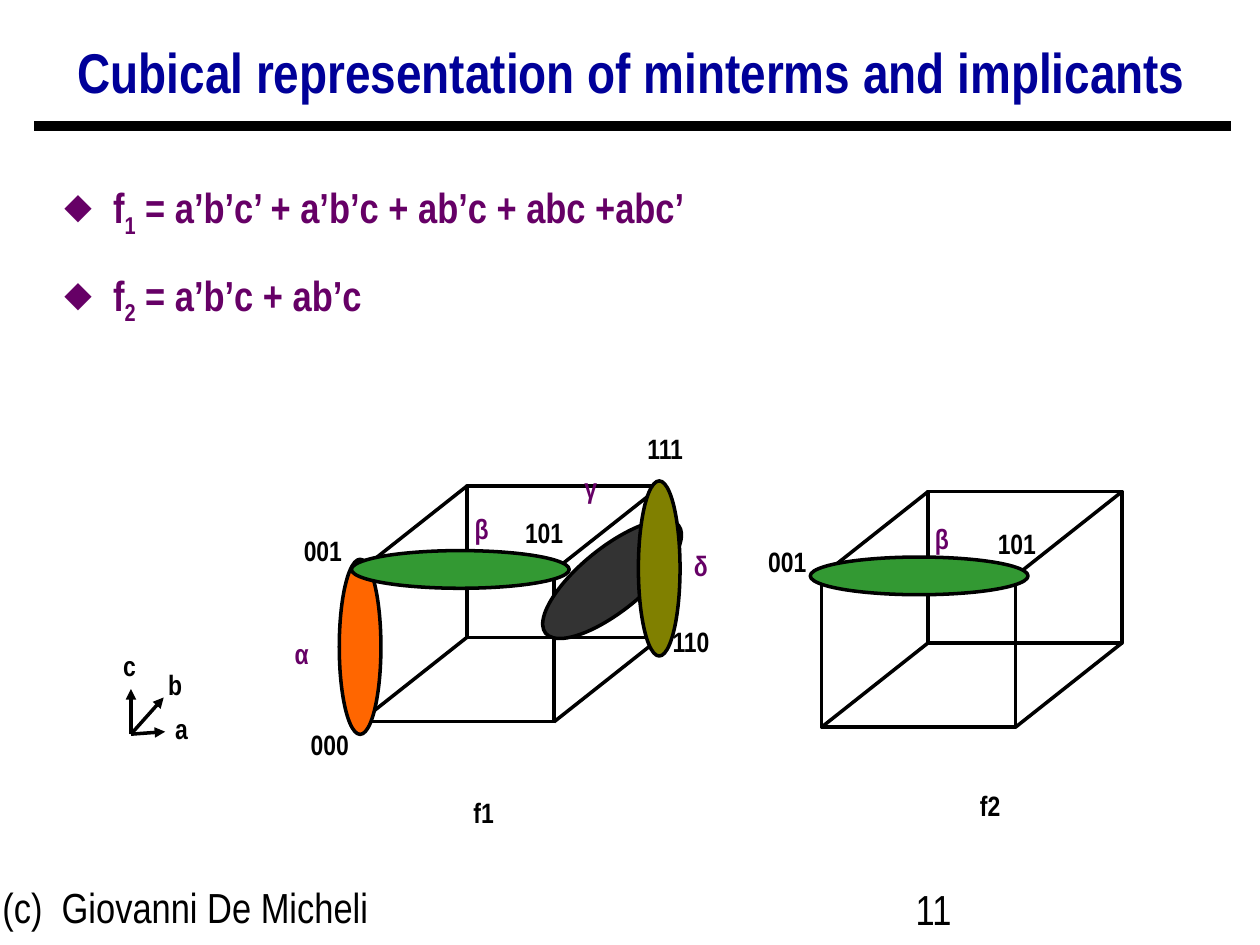
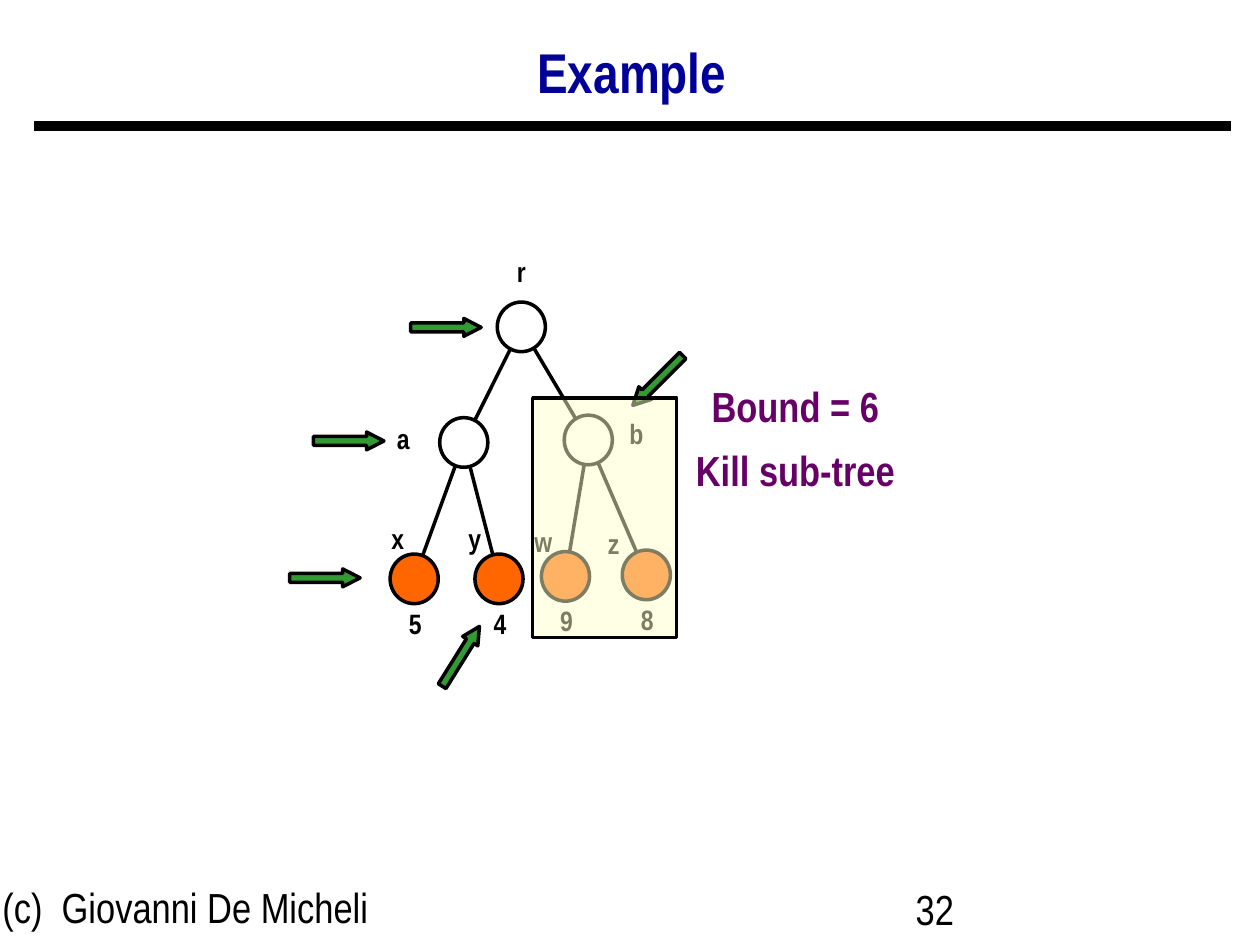
from dataclasses import dataclass
from itertools import product
from math import hypot

from lxml import etree
from pptx import Presentation
from pptx.dml.color import RGBColor
from pptx.enum.shapes import MSO_CONNECTOR, MSO_SHAPE
from pptx.enum.text import MSO_ANCHOR, MSO_AUTO_SIZE, PP_ALIGN
from pptx.oxml.ns import qn
from pptx.util import Cm, Pt


@dataclass(frozen=True)
class Theme:
    face: str = "Arial Narrow"
    ink: str = "000000"
    title: str = "000099"
    accent: str = "660066"
    orange: str = "FF6600"
    green: str = "339933"
    charcoal: str = "333333"
    olive: str = "808000"
    veil: str = "FFFFCC"
    title_size: int = 32
    body_size: int = 24
    label_size: int = 16
    thin: int = 2
    thick: int = 6


@dataclass(frozen=True)
class Box:
    left: float
    top: float
    width: float
    height: float

    def at(self, x, y):
        return self.left + x, self.top + y

    def emu(self):
        return [Cm(v) for v in (self.left, self.top, self.width, self.height)]


def centred(x, y, width, height):
    return Box(x - width / 2, y - height / 2, width, height)


THEME = Theme()
SLIDE = Box(0, 0, 25.4, 19.05)
TITLE = Box(0.66, 0.56, 24.16, 1.9)
CUBE_DEPTH = (2.15, 1.7)
CUBE_FACE = (3.91, 3.05)
UPRIGHT = (0.84, 3.53)
FLAT = (4.39, 0.76)
TILTED = (3.45, 1.27)
NODE = (0.97, 1)


def style(paragraph, size, color, bold=True, align=PP_ALIGN.CENTER):
    paragraph.alignment = align
    font = paragraph.font
    font.name, font.size, font.bold = THEME.face, Pt(size), bold
    font.color.rgb = RGBColor.from_string(color)


def text_box(slide, box, wrap=True):
    frame = slide.shapes.add_textbox(*box.emu()).text_frame
    frame.word_wrap = wrap
    return frame


def label(slide, text, centre, width=1.98, color=THEME.ink):
    frame = text_box(slide, centred(*centre, width, 0.94), wrap=width > 1)
    frame.text = text
    style(frame.paragraphs[0], THEME.label_size, color)


def line(slide, start, end, width=THEME.thin, arrow=False):
    points = [Cm(v) for v in (*start, *end)]
    connector = slide.shapes.add_connector(MSO_CONNECTOR.STRAIGHT, *points)
    connector.line.color.rgb = RGBColor.from_string(THEME.ink)
    connector.line.width = Pt(width)
    if arrow:
        outline = connector.line._get_or_add_ln()
        etree.SubElement(outline, qn("a:tailEnd"), type="triangle")
    etree.SubElement(connector._element.spPr, qn("a:effectLst"))


def shape(slide, kind, box, fill=None, rotation=0):
    form = slide.shapes.add_shape(kind, *box.emu())
    form.shadow.inherit = False
    form.rotation = rotation
    form.line.color.rgb = RGBColor.from_string(THEME.ink)
    form.line.width = Pt(THEME.thin)
    if fill:
        form.fill.solid()
        form.fill.fore_color.rgb = RGBColor.from_string(fill)
    else:
        form.fill.background()
    return form


def footer(slide, text, box):
    frame = text_box(slide, box)
    frame.text = text
    style(frame.paragraphs[0], THEME.body_size, THEME.ink, False, PP_ALIGN.LEFT)


def titled_slide(prs, heading, number):
    slide = prs.slides.add_slide(prs.slide_layouts[5])
    line(slide, (0.69, 2.54), (24.82, 2.54), THEME.thick)
    footer(slide, "(c)  Giovanni De Micheli", Box(-0.2, 17.65, 8.03, 1.32))
    footer(slide, str(number), Box(18.21, 17.68, 5.92, 1.32))
    title = slide.shapes.title
    title.left, title.top, title.width, title.height = TITLE.emu()
    frame = title.text_frame
    frame.text = heading
    frame.auto_size = MSO_AUTO_SIZE.NONE
    frame.vertical_anchor = MSO_ANCHOR.MIDDLE
    frame.paragraphs[0].line_spacing = 0.9
    style(frame.paragraphs[0], THEME.title_size, THEME.title)
    return slide


def bullet(paragraph):
    props = paragraph._p.get_or_add_pPr()
    props.set("marL", str(Cm(1.39)))
    props.set("indent", str(Cm(-0.98)))
    color = etree.SubElement(props, qn("a:buClr"))
    etree.SubElement(color, qn("a:srgbClr"), val=THEME.accent)
    etree.SubElement(props, qn("a:buSzPct"), val="85000")
    etree.SubElement(props, qn("a:buChar"), char="◆")


def equations(slide, box, covers):
    frame = text_box(slide, box)
    for index, cover in enumerate(covers, 1):
        paragraph = frame.paragraphs[0] if index == 1 else frame.add_paragraph()
        paragraph.line_spacing = 1.25
        if index > 1:
            paragraph.space_before = Pt(9)
        bullet(paragraph)
        style(paragraph, THEME.body_size, THEME.accent, align=PP_ALIGN.LEFT)
        for part in ("f", str(index), f" = {cover}"):
            run = paragraph.add_run()
            run.text = part
            if part.isdigit():
                run._r.get_or_add_rPr().set("baseline", "-25000")


def axes(slide, box):
    origin = box.at(0, box.height)
    for name, tip, mark in (
        ("a", (0.69, 0.86), (1.02, 0.8)),
        ("b", (0.66, 0.17), (0.89, -0.09)),
        ("c", (0, 0), (-0.03, -0.47)),
    ):
        line(slide, origin, box.at(*tip), arrow=True)
        label(slide, name, box.at(*mark), 1.88)


def cube(slide, box, vertices, implicants):
    depth_x, depth_y = CUBE_DEPTH
    width, height = CUBE_FACE
    for x, y in ((depth_x, 0), (0, depth_y)):
        shape(slide, MSO_SHAPE.RECTANGLE, Box(*box.at(x, y), *CUBE_FACE))
    for x, y in product((0, width), (0, height)):
        line(slide, box.at(x, y + depth_y), box.at(x + depth_x, y))
    for name, centre in vertices.items():
        label(slide, name, box.at(*centre))
    for name, centre, size, rotation, fill, mark in implicants:
        loop = centred(*box.at(*centre), *size)
        shape(slide, MSO_SHAPE.OVAL, loop, fill, rotation)
        label(slide, name, box.at(*mark), 0.79, THEME.accent)


def tree(slide, box, nodes, branches):
    for parent, child in branches:
        (x1, y1), (x2, y2) = nodes[parent][0], nodes[child][0]
        reach = 0.5 / hypot(x2 - x1, y2 - y1)
        dx, dy = (x2 - x1) * reach, (y2 - y1) * reach
        line(slide, box.at(x1 + dx, y1 + dy), box.at(x2 - dx, y2 - dy))
    for name, ((x, y), mark, cost) in nodes.items():
        fill = THEME.orange if cost else None
        shape(slide, MSO_SHAPE.OVAL, centred(*box.at(x, y), *NODE), fill)
        label(slide, name, box.at(*mark), 2.29)
        if cost:
            label(slide, cost, box.at(x + 0.02, y + 0.9), 2.29)


def bound_note(slide, box, lines):
    frame = text_box(slide, box)
    frame.text = "\n".join(lines)
    for index, paragraph in enumerate(frame.paragraphs):
        paragraph.line_spacing = 0.75
        if index:
            paragraph.space_before = Pt(15)
        style(paragraph, THEME.body_size, THEME.accent)


def visit_arrows(slide, box, visits):
    for x, y, rotation in visits:
        place = centred(*box.at(x, y), 1.42, 0.36)
        arrow = shape(slide, MSO_SHAPE.RIGHT_ARROW, place, THEME.green, rotation)
        arrow.adjustments[0], arrow.adjustments[1] = 0.5, 0.97


def killed_subtree(slide, box):
    veil = shape(slide, MSO_SHAPE.RECTANGLE, box, THEME.veil)
    color = veil._element.spPr.find(f"{qn('a:solidFill')}/{qn('a:srgbClr')}")
    etree.SubElement(color, qn("a:alpha"), val="49000")


def cubical_slide(prs):
    slide = titled_slide(
        prs, "Cubical representation of minterms and implicants", 11
    )
    equations(
        slide,
        Box(0.64, 3.25, 15.49, 14.2),
        ("a’b’c’ + a’b’c + ab’c + abc +abc’", "a’b’c + ab’c"),
    )
    axes(slide, Box(2.64, 13.89, 0.69, 0.91))
    cube(
        slide,
        Box(7.26, 9.8, 6.06, 4.75),
        {
            "111": (6.15, -0.75),
            "f1": (2.49, 6.59),
            "000": (-0.61, 5.22),
            "001": (-0.75, 1.31),
            "110": (6.67, 3.14),
            "101": (3.71, 0.93),
        },
        (
            ("α", (0, 3.24), UPRIGHT, 0, THEME.orange, (-1.18, 3.37)),
            ("β", (2.02, 1.68), FLAT, 0, THEME.green, (2.45, 0.85)),
            ("γ", (5.08, 1.88), TILTED, 321, THEME.charcoal, (4.65, 0.04)),
            ("δ", (6.03, 1.66), UPRIGHT, 0, THEME.olive, (6.87, 1.61)),
        ),
    )
    cube(
        slide,
        Box(16.56, 9.91, 6.06, 4.75),
        {"f2": (3.4, 6.34), "001": (-0.69, 1.41), "101": (3.94, 1.05)},
        (("β", (1.97, 1.7), FLAT, 0, THEME.green, (2.43, 0.95)),),
    )


def branch_and_bound_slide(prs):
    slide = titled_slide(prs, "Example", 32)
    search = Box(5.84, 5, 13.5, 9)
    nodes = {
        "r": ((4.67, 1.59), (4.67, 0.47), None),
        "a": ((3.51, 3.92), (2.29, 3.85), None),
        "b": ((6.02, 3.87), (6.99, 3.75), None),
        "x": ((2.51, 6.67), (2.18, 5.85), "5"),
        "y": ((4.22, 6.67), (3.73, 5.85), "4"),
        "w": ((5.56, 6.62), (5.11, 5.91), "9"),
        "z": ((7.19, 6.59), (6.53, 5.96), "8"),
    }
    tree(slide, search, nodes, ("ra", "rb", "ax", "ay", "bw", "bz"))
    bound_note(
        slide, Box(*search.at(6.93, 2.79), 6.53, 2.31), ("Bound = 6", "Kill sub-tree")
    )
    visit_arrows(
        slide,
        search,
        (
            (3.15, 1.6, 0),
            (1.19, 3.89, 0),
            (0.71, 6.65, 0),
            (3.45, 8.23, 302),
            (7.42, 2.67, 135),
        ),
    )
    killed_subtree(slide, Box(*search.at(4.9, 3.02), 2.9, 4.83))


def main():
    prs = Presentation()
    prs.slide_width, prs.slide_height = Cm(SLIDE.width), Cm(SLIDE.height)
    cubical_slide(prs)
    branch_and_bound_slide(prs)
    prs.save("out.pptx")


if __name__ == "__main__":
    main()
